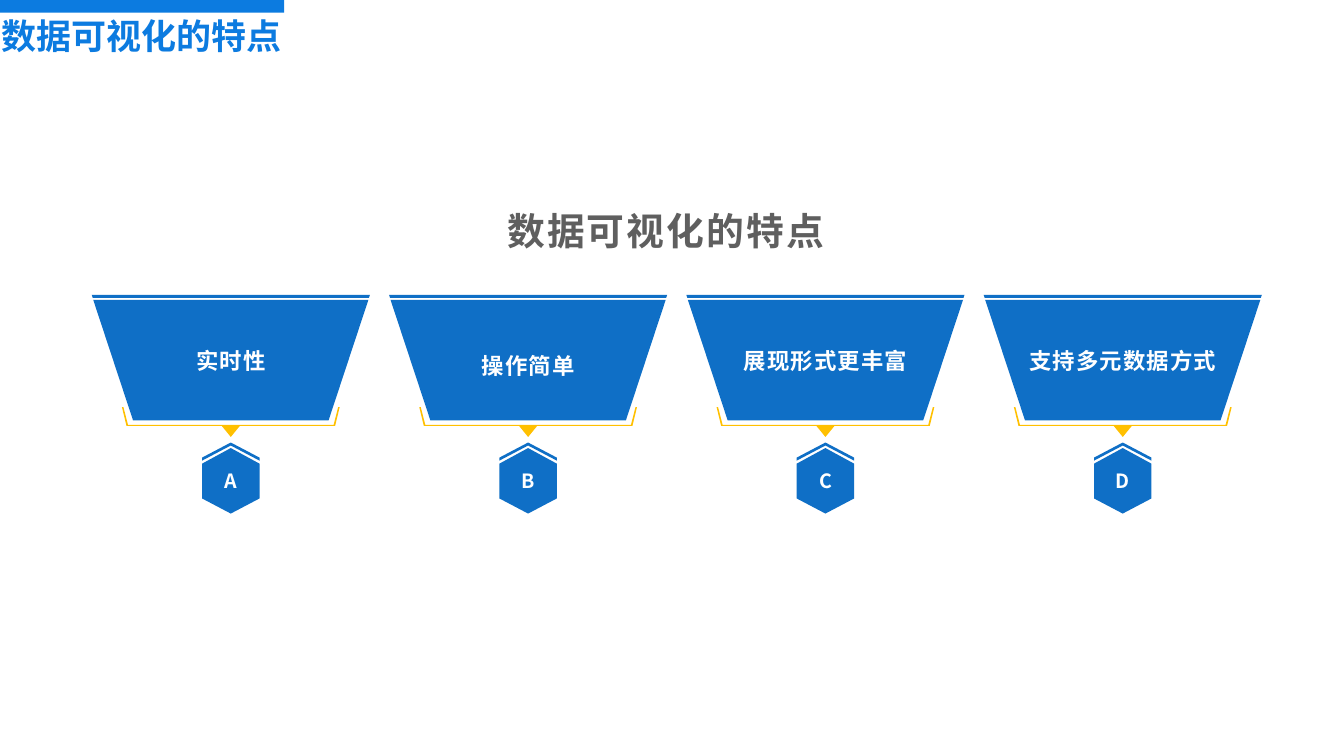
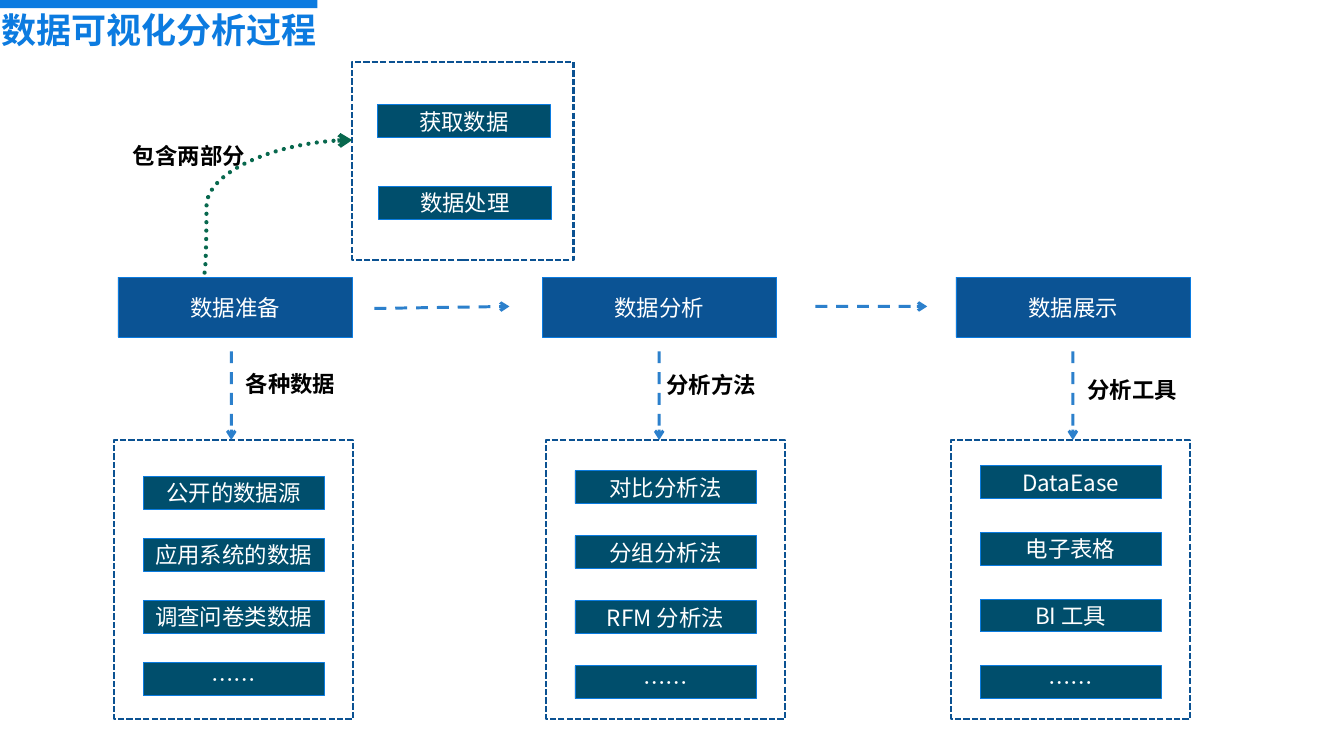
from lxml.etree import SubElement
from pptx import Presentation
from pptx.dml.color import RGBColor
from pptx.enum.dml import MSO_LINE
from pptx.enum.shapes import MSO_CONNECTOR as CONN, MSO_SHAPE as SHAPE
from pptx.enum.text import MSO_ANCHOR as ANCHOR, PP_ALIGN as ALIGN
from pptx.oxml.ns import qn
from pptx.util import Inches, Pt

FONT = "Noto Sans CJK JP"
WHITE = RGBColor(0xFF, 0xFF, 0xFF)
BLACK = RGBColor(0, 0, 0)
GREY = RGBColor(0x5F, 0x5F, 0x5F)
SKY = RGBColor(0x0C, 0x7B, 0xE0)
EDGE = RGBColor(0x0A, 0x7B, 0xE0)
BLUE = RGBColor(0x0F, 0x6F, 0xC6)
NAVY = RGBColor(0x0B, 0x53, 0x94)
FRAME = RGBColor(0x0B, 0x52, 0x92)
TEAL = RGBColor(0x00, 0x4E, 0x6C)
GREEN = RGBColor(0x08, 0x68, 0x4E)
GOLD = RGBColor(0xFF, 0xC0, 0x00)

# ---- Content: feature slide (label, label top) ----
FEATURES_TITLE = "数据可视化的特点"
FEATURES = [("实时性", 6.21), ("操作简单", 6.31),
            ("展现形式更丰富", 6.21), ("支持多元数据方式", 6.21)]
FIRST_CENTRE, PITCH = 4.58, 5.9

# Right halves of the symmetric outlines: (distance from centre, height)
BRACKET = [[(0, 8.67), (0.18, 8.45), (2.07, 8.45),
            (2.16, 8.08), (2.13, 8.08), (2.04, 8.43)]]
HEXAGON = [[(0, 8.89), (0.57, 9.2), (0.57, 9.89), (0, 10.19)],
           [(0, 8.78), (0.57, 9.08), (0.57, 9.14), (0, 8.84)]]
FUNNEL = [[(2.73, 5.95), (1.94, 8.34)], [(2.76, 5.85), (2.74, 5.91)]]

# ---- Content: process slide ----
PROCESS_TITLE = "数据可视化分析过程"
STAGES = [
    dict(name="数据准备", left=2.34, frame=2.27, arrow=4.59, first=9.45, last=13.15,
         note="各种数据", note_at=(4.59, 7.21, 2.21, 0.8),
         items=["公开的数据源", "应用系统的数据", "调查问卷类数据", "……"]),
    dict(name="数据分析", left=10.76, frame=10.84, arrow=13.08, first=9.34, last=13.21,
         note="分析方法", note_at=(13.01, 7.25, 2.07, 0.77),
         items=["对比分析法", "分组分析法", "RFM 分析法", "……"]),
    dict(name="数据展示", left=18.97, frame=18.88, arrow=21.29, first=9.24, last=13.21,
         note="分析工具", note_at=(21.29, 7.43, 2.21, 0.58),
         items=["DataEase", "电子表格", "BI 工具", "……"]),
]
STAGE_ARROWS = [(7.43, 6.12, 10.11, 6.08), (16.18, 6.08, 18.4, 6.08)]
PARTS_NOTE = "包含两部分"
PARTS = [("获取数据", 7.49, 2.08), ("数据处理", 7.51, 3.7)]
ITEM_H = 0.65


# ---- Shared helpers ----
def write(shape, text, size, color, bold=False, align=ALIGN.CENTER,
          anchor=ANCHOR.MIDDLE, inset=0.06, spacing=None, tracking=0, indent=0):
    tf = shape.text_frame
    tf.word_wrap = True
    tf.vertical_anchor = anchor
    tf.margin_left = tf.margin_right = Inches(inset)
    tf.margin_top = tf.margin_bottom = Inches(inset)
    p = tf.paragraphs[0]
    p.alignment = align
    if spacing:
        p.line_spacing = spacing
    if indent:
        pPr = p._p.get_or_add_pPr()
        pPr.set("marL", "0")
        pPr.set("indent", str(Inches(indent)))
    r = p.add_run()
    r.text = text
    r.font.name, r.font.size, r.font.bold = FONT, Pt(size), bold
    r.font.color.rgb = color
    rPr = r._r.get_or_add_rPr()
    SubElement(rPr, qn("a:ea")).set("typeface", FONT)
    if tracking:
        rPr.set("spc", str(int(tracking * 100)))


def textbox(s, at, text, size, color, **style):
    write(s.shapes.add_textbox(*map(Inches, at)), text, size, color, **style)


def box(s, at, fill=None, line=None, width=1, dash=None):
    sp = s.shapes.add_shape(SHAPE.RECTANGLE, *map(Inches, at))
    sp.shadow.inherit = False
    if fill is None:
        sp.fill.background()
    else:
        sp.fill.solid()
        sp.fill.fore_color.rgb = fill
    if line is None:
        sp.line.fill.background()
    else:
        sp.line.color.rgb = line
        sp.line.width = Pt(width)
        if dash:
            sp.line.dash_style = dash
    return sp


def header(s, text, bar_w, bar_h, text_top):
    box(s, (-0.02, -0.01, bar_w, bar_h), SKY)
    textbox(s, (0.03, text_top, bar_w + 0.5, 1.03), text, 50, SKY, bold=True,
            align=ALIGN.LEFT, anchor=ANCHOR.TOP, inset=0)


def symmetric(s, centre, halves, fill):
    """Draw outlines mirrored about a vertical centre line as one shape."""
    builder = None
    for half in halves:
        outline = half + [(-x, y) for x, y in reversed(half) if x]
        pts = [(Inches(centre + x), Inches(y)) for x, y in outline]
        if builder is None:
            builder = s.shapes.build_freeform(*pts[0], scale=1.0)
        else:
            builder.move_to(*pts[0])
        builder.add_line_segments(pts[1:], close=True)
    sp = builder.convert_to_shape()
    sp.shadow.inherit = False
    sp.fill.solid()
    sp.fill.fore_color.rgb = fill
    sp.line.fill.background()
    return sp


def arrow(s, ends, color=BLUE, width=4.25, dash=MSO_LINE.DASH,
          kind=CONN.STRAIGHT, alpha=88):
    c = s.shapes.add_connector(kind, *map(Inches, ends))
    c.line.color.rgb = color
    c.line.width = Pt(width)
    c.line.dash_style = dash
    ln = c.line._get_or_add_ln()
    if alpha < 100:
        clr = ln.find(".//" + qn("a:srgbClr"))
        SubElement(clr, qn("a:alpha")).set("val", str(alpha * 1000))
    SubElement(ln, qn("a:tailEnd")).set("type", "arrow")
    SubElement(c._element.spPr, qn("a:effectLst"))
    return c


def frame(s, at):
    box(s, at, line=FRAME, width=3, dash=MSO_LINE.SQUARE_DOT)


def label(s, at, text, fill=TEAL):
    write(box(s, at, fill, EDGE), text, 32, WHITE)


def note(s, at, text):
    textbox(s, at, text, 32, BLACK, bold=True, indent=0.14)


# ---- Slides ----
def features_slide(s):
    header(s, FEATURES_TITLE, 5.66, 0.26, 0.28)
    for i, (text, top) in enumerate(FEATURES):
        centre = FIRST_CENTRE + i * PITCH
        symmetric(s, centre, BRACKET, GOLD)
        badge = symmetric(s, centre, HEXAGON, BLUE)
        write(badge, "ABCD"[i], 28, WHITE, bold=True, spacing=1.2)
        symmetric(s, centre, FUNNEL, BLUE)
        textbox(s, (centre - 2.16, top, 4.32, 1.77), text, 32, WHITE,
                bold=True, spacing=1.2, tracking=1.5)
    textbox(s, (8.91, 3.67, 8.6, 1.62), FEATURES_TITLE, 54, GREY,
            bold=True, spacing=1.2, tracking=3)


def process_slide(s):
    header(s, PROCESS_TITLE, 6.32, 0.17, 0.17)

    # Stages, each with its arrow down to a framed list
    for st in STAGES:
        label(s, (st["left"], 5.5, 4.65, 1.19), st["name"], NAVY)
        frame(s, (st["frame"], 8.73, 4.73, 5.54))
        step = (st["last"] - st["first"]) / (len(st["items"]) - 1)
        for i, text in enumerate(st["items"]):
            label(s, (st["frame"] + 0.57, st["first"] + i * step, 3.59, ITEM_H), text)
        arrow(s, (st["arrow"], 6.97, st["arrow"], 8.73))
        note(s, st["note_at"], st["note"])
    for ends in STAGE_ARROWS:
        arrow(s, ends)

    # The two parts of preparation
    frame(s, (6.99, 1.23, 4.39, 3.93))
    for text, left, top in PARTS:
        label(s, (left, top, 3.43, ITEM_H), text)
    curve = arrow(s, (4.06, 5.41, 6.99, 2.78), GREEN, 6, MSO_LINE.ROUND_DOT,
                  CONN.CURVE, alpha=100)
    curve.line._get_or_add_ln().set("cap", "rnd")
    geom = curve._element.spPr.find(qn("a:prstGeom"))
    av = geom.find(qn("a:avLst"))
    if av is None:
        av = SubElement(geom, qn("a:avLst"))
    gd = SubElement(av, qn("a:gd"))
    gd.set("name", "adj1")
    gd.set("fmla", "val 1300")
    note(s, (2.34, 2.68, 2.68, 0.8), PARTS_NOTE)


def main():
    prs = Presentation()
    prs.slide_width, prs.slide_height = Inches(26.67), Inches(15)
    for build in (features_slide, process_slide):
        build(prs.slides.add_slide(prs.slide_layouts[6]))
    prs.save("out.pptx")


if __name__ == "__main__":
    main()
